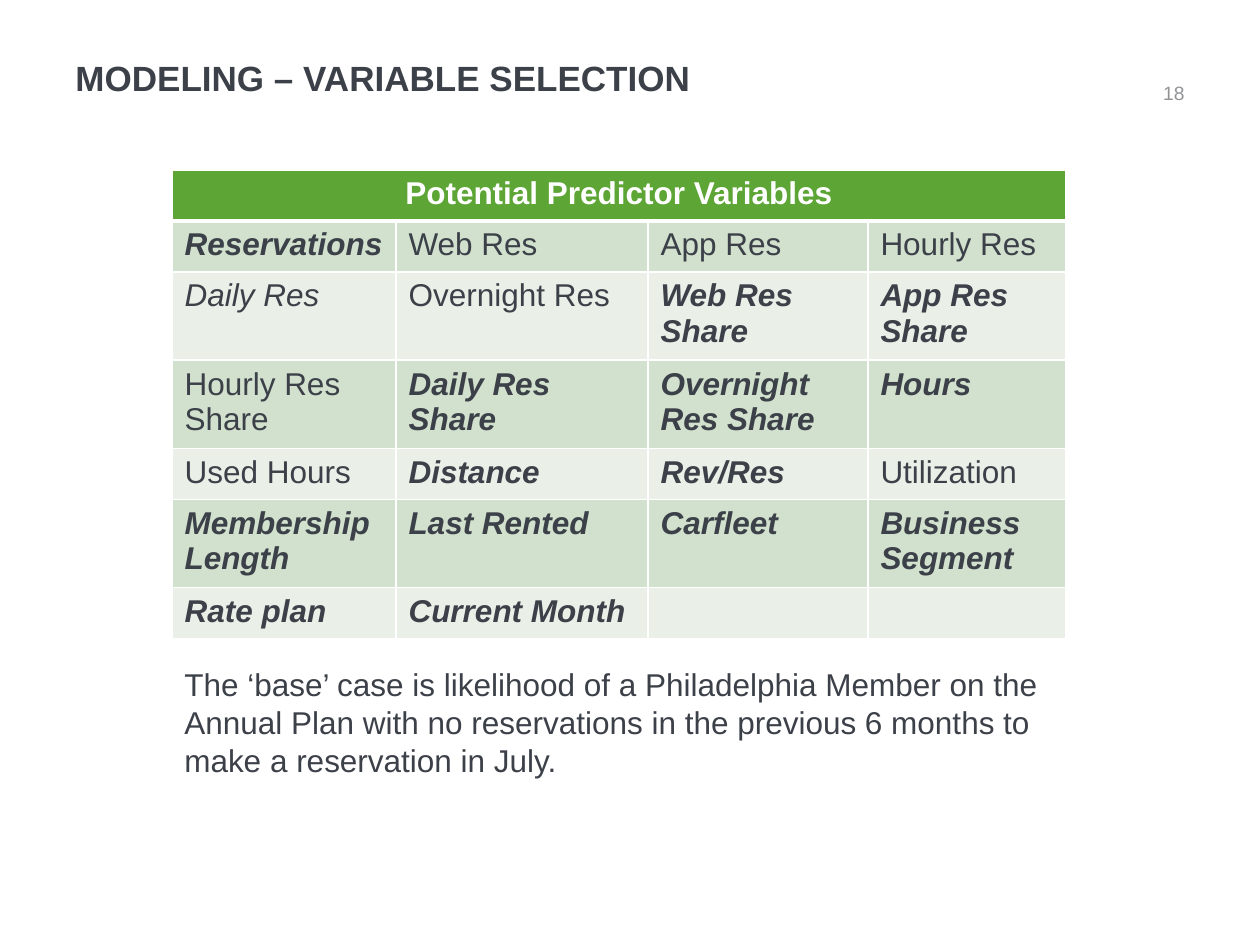
from lxml.etree import SubElement
from pptx import Presentation
from pptx.dml.color import RGBColor
from pptx.enum.text import MSO_ANCHOR as Anchor, PP_ALIGN as Align
from pptx.oxml.ns import qn
from pptx.util import Emu, Pt

PX_PER_INCH = 126
FONT = "Arial"
INK = RGBColor(0x3C, 0x40, 0x48)
GREY = RGBColor(0x92, 0x93, 0x95)
WHITE = RGBColor(0xFF, 0xFF, 0xFF)
GREEN = RGBColor(0x5D, 0xA5, 0x35)
BANDS = (RGBColor(0xD2, 0xE1, 0xCE), RGBColor(0xEA, 0xF0, 0xE8))

# Emphasis of each variable: plain, italic, or bold italic (selected)
PLAIN = {}
ITALIC = {"italic": True}
PICKED = {"bold": True, "italic": True}

VARIABLES = [
    [("Reservations", PICKED), ("Web Res", PLAIN),
     ("App Res", PLAIN), ("Hourly Res", PLAIN)],
    [("Daily Res", ITALIC), ("Overnight Res", PLAIN),
     ("Web Res Share", PICKED), ("App Res Share", PICKED)],
    [("Hourly Res Share", PLAIN), ("Daily Res Share", PICKED),
     ("Overnight Res Share", PICKED), ("Hours", PICKED)],
    [("Used Hours", PLAIN), ("Distance", PICKED),
     ("Rev/Res", PICKED), ("Utilization", PLAIN)],
    [("Membership Length", PICKED), ("Last Rented", PICKED),
     ("Carfleet", PICKED), ("Business Segment", PICKED)],
    [("Rate plan", PICKED), ("Current Month", PICKED),
     ("", PLAIN), ("", PLAIN)],
]
COLUMN_WIDTHS = (224, 252, 220, 198)
ROW_HEIGHT = 51


def px(length):
    return Emu(round(length * 914400 / PX_PER_INCH))


def write(frame, text, size=18, color=INK, bold=False, italic=False,
          align=Align.LEFT):
    paragraph = frame.paragraphs[0]
    paragraph.alignment = align
    paragraph.font.size = Pt(size)
    if not text:
        return
    run = paragraph.add_run()
    run.text = text
    font = run.font
    font.name, font.size, font.bold, font.italic = FONT, Pt(size), bold, italic
    font.color.rgb = color


def add_text(slide, box, text, anchor=Anchor.TOP, **style):
    frame = slide.shapes.add_textbox(*map(px, box)).text_frame
    frame.word_wrap = True
    frame.vertical_anchor = anchor
    write(frame, text, **style)


def fill_cell(cell, color, bottom=1):
    # Borders come before the fill in the cell properties
    properties = cell._tc.get_or_add_tcPr()
    for side, width in (("L", 1), ("R", 1), ("T", 1), ("B", bottom)):
        line = SubElement(properties, qn(f"a:ln{side}"), w=str(Pt(width)))
        solid = SubElement(line, qn("a:solidFill"))
        SubElement(solid, qn("a:srgbClr"), val=str(WHITE))
    cell.fill.solid()
    cell.fill.fore_color.rgb = color


def add_variable_table(slide, left, top):
    rows, columns = len(VARIABLES) + 1, len(COLUMN_WIDTHS)
    table = slide.shapes.add_table(
        rows, columns, px(left), px(top),
        px(sum(COLUMN_WIDTHS)), px(rows * ROW_HEIGHT)).table
    for column, width in zip(table.columns, COLUMN_WIDTHS):
        column.width = px(width)
    for row in table.rows:
        row.height = px(ROW_HEIGHT)

    # Header across all columns
    for column in range(columns):
        fill_cell(table.cell(0, column), GREEN, bottom=3)
    header = table.cell(0, 0)
    header.merge(table.cell(0, columns - 1))
    write(header.text_frame, "Potential Predictor Variables",
          color=WHITE, bold=True, align=Align.CENTER)

    # Banded rows of variables
    for r, variables in enumerate(VARIABLES):
        for c, (name, emphasis) in enumerate(variables):
            cell = table.cell(r + 1, c)
            fill_cell(cell, BANDS[r % 2])
            write(cell.text_frame, name, **emphasis)


def main():
    deck = Presentation()
    deck.slide_width, deck.slide_height = px(1260), px(945)
    slide = deck.slides.add_slide(deck.slide_layouts[6])

    # Title and page number
    add_text(slide, (63, 17, 979, 88), "MODELING – VARIABLE SELECTION",
             anchor=Anchor.BOTTOM, size=20, bold=True)
    add_text(slide, (1143, 61, 54, 50), "18", anchor=Anchor.BOTTOM,
             size=11, color=GREY, align=Align.RIGHT)

    add_variable_table(slide, 172, 170)

    # Base case note
    add_text(slide, (172, 659, 894, 127),
             "The ‘base’ case is likelihood of a Philadelphia Member on the "
             "Annual Plan with no reservations in the previous 6 months to "
             "make a reservation in July.")

    deck.save("out.pptx")


if __name__ == "__main__":
    main()
